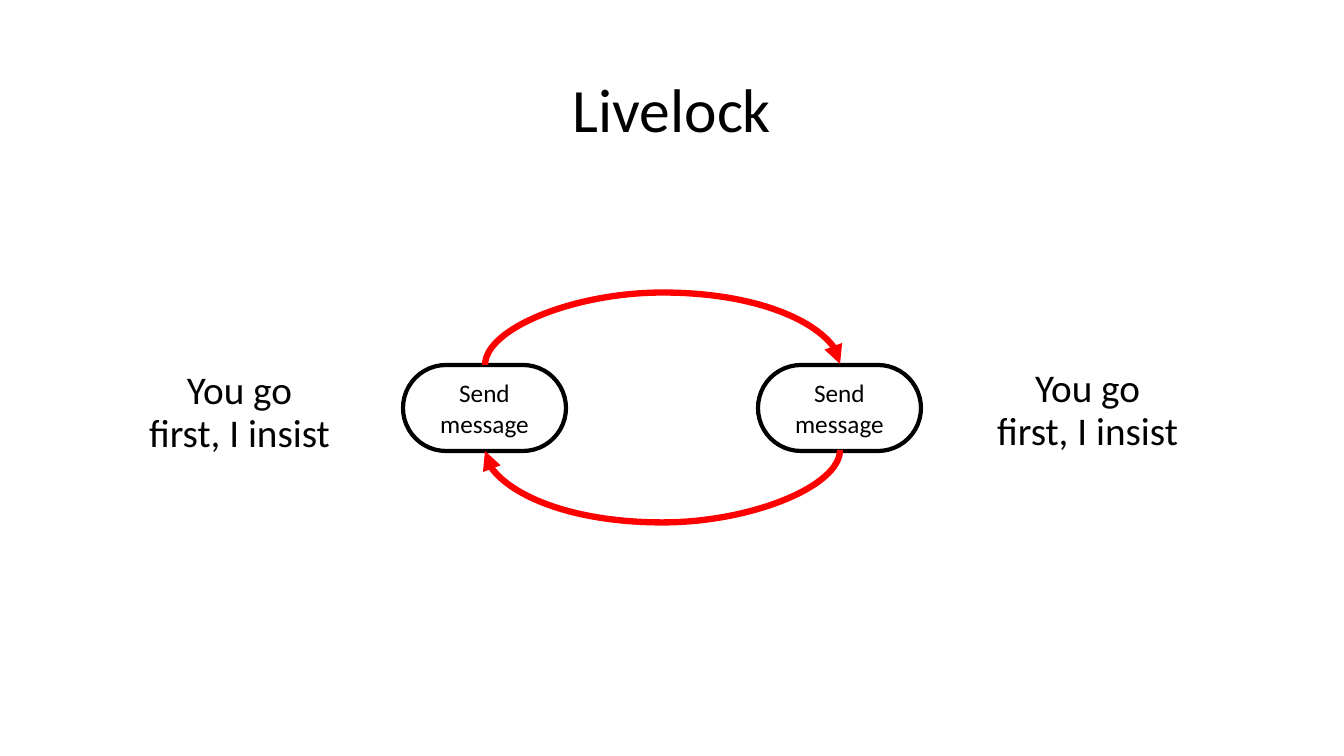
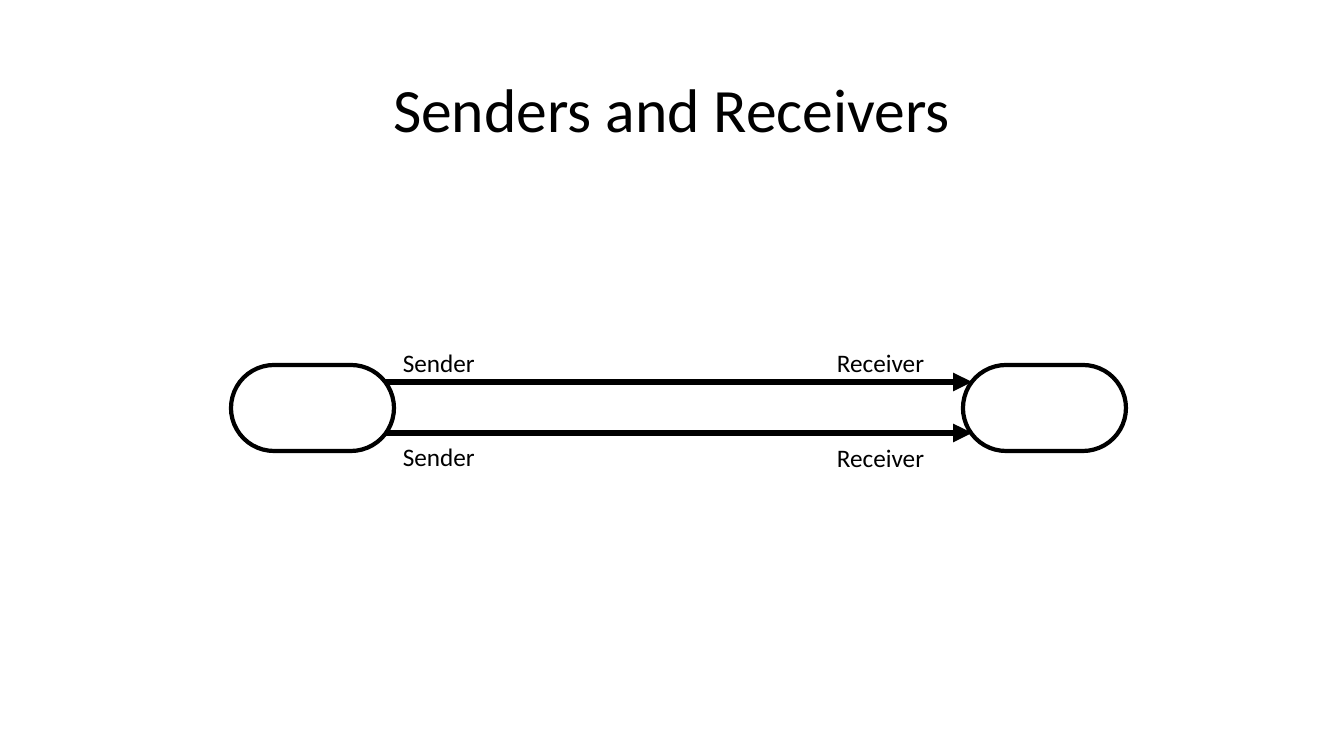
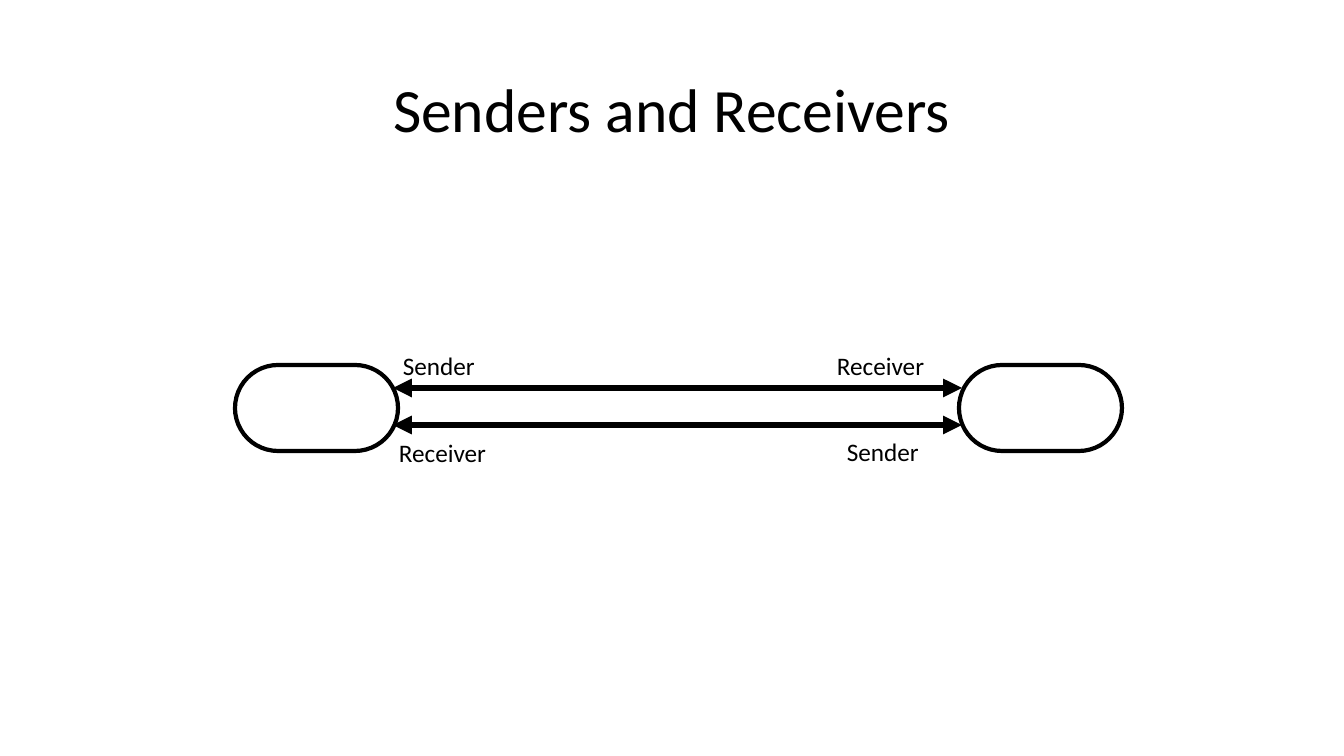
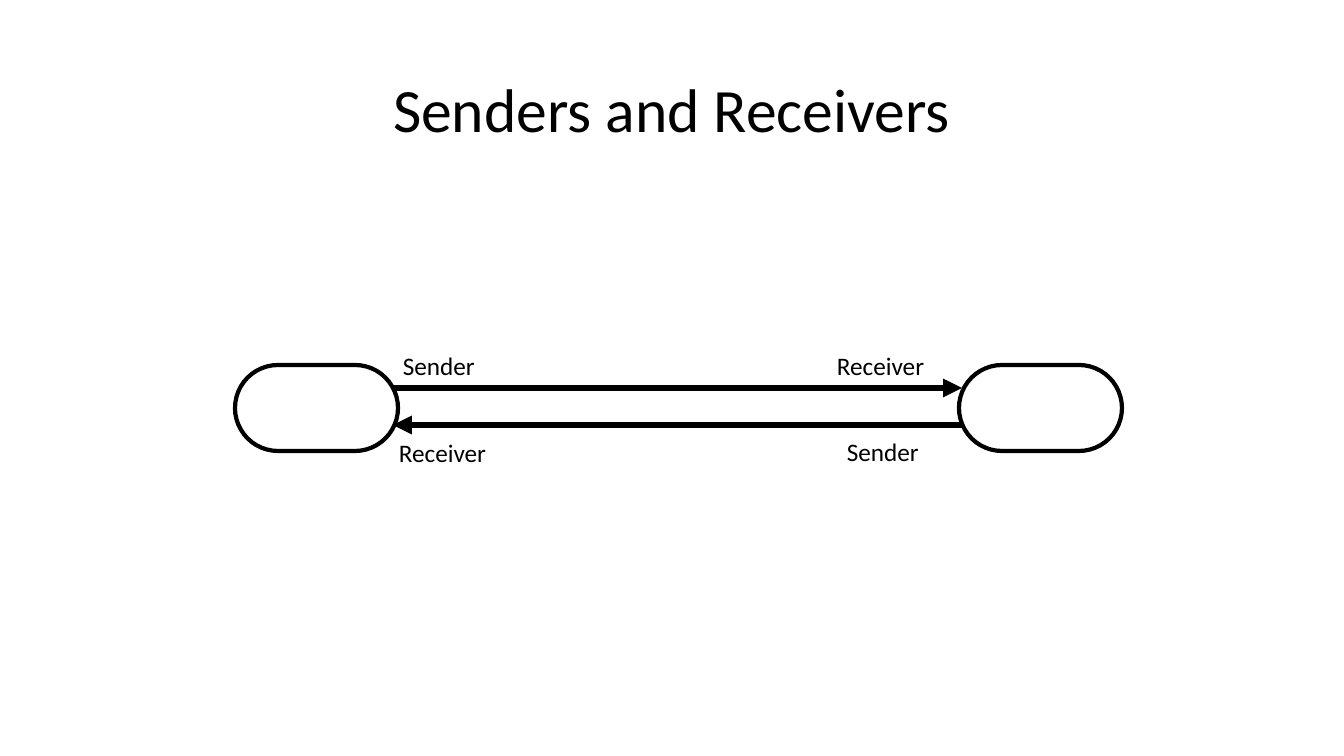
"""Build four slides on livelock and on senders and receivers."""
from pptx import Presentation
from pptx.dml.color import RGBColor
from pptx.enum.shapes import MSO_CONNECTOR, MSO_SHAPE
from pptx.enum.text import MSO_ANCHOR, PP_ALIGN
from pptx.oxml.ns import qn
from pptx.util import Inches, Pt
from lxml.etree import SubElement

PX = Inches(1) / 100.8
BLACK = RGBColor(0, 0, 0)
RED = RGBColor(255, 0, 0)
FONT = "Calibri"

TITLE_BOX = (92, 40, 1160, 146)
NODE_TOP, NODE_WIDTH, NODE_HEIGHT = 365, 163, 86
LABEL_HEIGHT = 40
BEND = 73
TOP_SITE, BOTTOM_SITE = 0, 2

LIVELOCK = {
    "title": "Livelock",
    "nodes": [403, 758],
    "node_text": "Send message",
    "remark": "You go first, I insist",
    "remark_boxes": [(138, 366, 203, 239), (986, 364, 203, 239)],
    "curves": [
        (0, 1, TOP_SITE, (485, 365), (840, 364)),
        (1, 0, BOTTOM_SITE, (840, 450), (485, 451)),
    ],
}

CHANNELS_TITLE = "Senders and Receivers"
CROSSED_LABELS = [
    ("Sender", 393, 345, 112),
    ("Receiver", 827, 345, 136),
    ("Sender", 837, 431, 117),
    ("Receiver", 389, 432, 145),
]
CHANNELS = [
    {
        "nodes": [231, 963],
        "arrows": [(385, 972, 382, "end"), (385, 972, 433, "end")],
        "labels": [
            ("Sender", 393, 342, 111),
            ("Receiver", 827, 342, 136),
            ("Sender", 393, 436, 131),
            ("Receiver", 827, 437, 136),
        ],
    },
    {
        "nodes": [235, 959],
        "arrows": [(393, 962, 388, "both"), (393, 962, 425, "both")],
        "labels": CROSSED_LABELS,
    },
    {
        "nodes": [235, 959],
        "arrows": [(393, 962, 388, "end"), (962, 393, 425, "end")],
        "labels": CROSSED_LABELS,
    },
]


def emu(*lengths):
    return [round(length * PX) for length in lengths]


def write(shape, text, size, align=PP_ALIGN.LEFT, anchor=MSO_ANCHOR.TOP, spacing=None):
    frame = shape.text_frame
    frame.word_wrap = True
    frame.vertical_anchor = anchor
    paragraph = frame.paragraphs[0]
    paragraph.text = text
    paragraph.alignment = align
    paragraph.line_spacing = spacing
    paragraph.font.name = FONT
    paragraph.font.size = Pt(size)
    paragraph.font.color.rgb = BLACK


def add_text(slide, box, *args, **style):
    write(slide.shapes.add_textbox(*emu(*box)), *args, **style)


def add_titled_slide(deck, title):
    slide = deck.slides.add_slide(deck.slide_layouts[6])
    add_text(slide, TITLE_BOX, title, 44, PP_ALIGN.CENTER, MSO_ANCHOR.MIDDLE, 0.9)
    return slide


def add_node(slide, left):
    node = slide.shapes.add_shape(
        MSO_SHAPE.ROUNDED_RECTANGLE, *emu(left, NODE_TOP, NODE_WIDTH, NODE_HEIGHT)
    )
    node.adjustments[0] = 0.5
    node.shadow.inherit = False
    node.fill.background()
    node.line.color.rgb = BLACK
    node.line.width = Pt(3)
    return node


def add_arrow(slide, kind, begin, end, color, heads="end"):
    arrow = slide.shapes.add_connector(kind, *emu(*begin, *end))
    arrow.line.color.rgb = color
    arrow.line.width = Pt(4.5)
    outline = arrow.line._get_or_add_ln()
    if heads == "both":
        SubElement(outline, qn("a:headEnd"), type="triangle")
    SubElement(outline, qn("a:tailEnd"), type="triangle")
    SubElement(arrow._element.spPr, qn("a:effectLst"))
    return arrow


def add_curve(slide, source, target, site, begin, end):
    (x1, y1), (x2, y2) = begin, end
    center_x, center_y = (x1 + x2) / 2, (y1 + y2) / 2
    across, along = y1 - center_y, center_x - x1
    turned_begin = center_x + across, center_y + along
    turned_end = center_x - across, center_y - along
    curve = add_arrow(slide, MSO_CONNECTOR.CURVE, turned_begin, turned_end, RED)
    curve.begin_connect(source, site)
    curve.end_connect(target, site)
    curve.begin_x, curve.begin_y = emu(*turned_begin)
    curve.end_x, curve.end_y = emu(*turned_end)
    properties = curve._element.spPr
    properties.find(qn("a:xfrm")).set("rot", "5400000")
    geometry = properties.find(qn("a:prstGeom"))
    guides = geometry.find(qn("a:avLst"))
    if guides is None:
        guides = SubElement(geometry, qn("a:avLst"))
    bend = round(BEND / abs(y2 - y1) * 100000)
    SubElement(guides, qn("a:gd"), name="adj1", fmla=f"val {bend}")


def build_livelock(deck):
    slide = add_titled_slide(deck, LIVELOCK["title"])
    nodes = [add_node(slide, left) for left in LIVELOCK["nodes"]]
    for node in nodes:
        write(node, LIVELOCK["node_text"], 18, PP_ALIGN.CENTER, MSO_ANCHOR.MIDDLE)
    for source, target, site, begin, end in LIVELOCK["curves"]:
        add_curve(slide, nodes[source], nodes[target], site, begin, end)
    for box in LIVELOCK["remark_boxes"]:
        add_text(slide, box, LIVELOCK["remark"], 28, PP_ALIGN.CENTER, spacing=0.9)


def build_channels(deck, channels):
    slide = add_titled_slide(deck, CHANNELS_TITLE)
    for left in channels["nodes"]:
        add_node(slide, left)
    for start, stop, y, heads in channels["arrows"]:
        add_arrow(slide, MSO_CONNECTOR.STRAIGHT, (start, y), (stop, y), BLACK, heads)
    for role, left, top, width in channels["labels"]:
        add_text(slide, (left, top, width, LABEL_HEIGHT), role, 18)


def main():
    deck = Presentation()
    deck.slide_width, deck.slide_height = emu(1344, 756)
    build_livelock(deck)
    for channels in CHANNELS:
        build_channels(deck, channels)
    deck.save("out.pptx")


if __name__ == "__main__":
    main()
